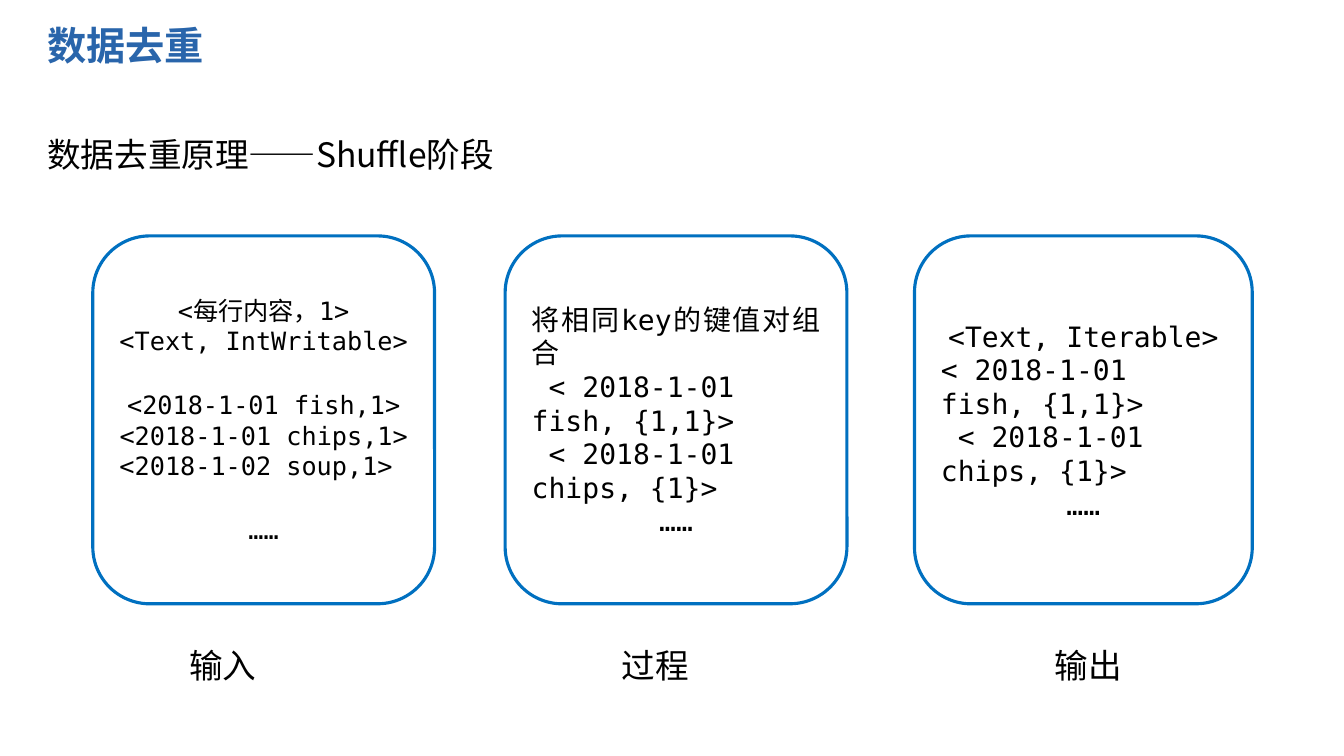
"""Build the slide on the Shuffle stage of data deduplication."""
from dataclasses import dataclass

from lxml import etree
from pptx import Presentation
from pptx import util as u
from pptx.dml.color import RGBColor
from pptx.enum import lang, shapes, text
from pptx.oxml import ns

SANS = "Noto Sans CJK SC"
MONO = "DejaVu Sans Mono"
BLACK = "000000"
BLUE = "0070C0"
TITLE_BLUE = "2965AB"
LEFT = text.PP_ALIGN.LEFT
CENTER = text.PP_ALIGN.CENTER
JUSTIFY = text.PP_ALIGN.JUSTIFY
STAGE_TOP, STAGE_HEIGHT = 2.34, 3.65
LABEL_LEFT, LABEL_STEP = 1.78, 4.29


@dataclass(frozen=True)
class Line:
    words: str
    align: text.PP_ALIGN = LEFT
    gap: float = 0


@dataclass(frozen=True)
class Stage:
    label: str
    left: float
    width: float
    lines: tuple[Line, ...]
    size: float = 20
    side_inset: float = 0.1


STAGES = (
    Stage("输入", 0.92, 3.39, (
        Line("<每行内容，1>", CENTER),
        Line("<Text, IntWritable>", CENTER),
        Line("<2018-1-01 fish,1>", CENTER, 24),
        Line("<2018-1-01 chips,1> ", CENTER),
        Line("<2018-1-02 soup,1> ", CENTER),
        Line("……", CENTER, 24),
    ), 18, 0.03),
    Stage("过程", 5.01, 3.39, (
        Line("将相同key的键值对组合", JUSTIFY),
        Line(" < 2018-1-01 fish, {1,1}>"),
        Line(" < 2018-1-01 chips, {1}>"),
        Line("……", CENTER),
    )),
    Stage("输出", 9.07, 3.35, (
        Line("<Text, Iterable>", CENTER),
        Line("< 2018-1-01 fish, {1,1}>"),
        Line(" < 2018-1-01 chips, {1}>"),
        Line("……", CENTER),
    )),
)


def color(hex_code: str) -> RGBColor:
    return RGBColor.from_string(hex_code)


def write(frame, lines: tuple[Line, ...], size: float, font: str,
          hex_code: str = BLACK, bold: bool = False) -> None:
    for index, line in enumerate(lines):
        paragraph = frame.paragraphs[0] if index == 0 else frame.add_paragraph()
        paragraph.alignment = line.align
        paragraph.space_before = u.Pt(line.gap)
        run = paragraph.add_run()
        run.text = line.words
        run.font.language_id = lang.MSO_LANGUAGE_ID.SIMPLIFIED_CHINESE
        run.font.size = u.Pt(size)
        run.font.bold = bold
        run.font.color.rgb = color(hex_code)
        run.font.name = font
        east_asian = etree.SubElement(run.font._element, ns.qn("a:ea"))
        east_asian.set("typeface", font)


def add_title(slide, words: str) -> None:
    title = slide.shapes.title
    title.left, title.top = u.Inches(0.37), u.Inches(0.21)
    title.width, title.height = u.Inches(5.32), u.Inches(0.58)
    frame = title.text_frame
    frame.vertical_anchor = text.MSO_ANCHOR.TOP
    frame.auto_size = text.MSO_AUTO_SIZE.NONE
    write(frame, (Line(words),), 28, SANS, TITLE_BLUE, True)
    frame.paragraphs[0].line_spacing = 0.9


def add_text(slide, words: str, left: float, top: float, width: float,
             height: float, wrap: bool) -> None:
    box = slide.shapes.add_textbox(
        u.Inches(left), u.Inches(top), u.Inches(width), u.Inches(height))
    box.text_frame.word_wrap = wrap
    write(box.text_frame, (Line(words),), 24, SANS)


def add_stage(slide, stage: Stage) -> None:
    panel = slide.shapes.add_shape(
        shapes.MSO_SHAPE.ROUNDED_RECTANGLE,
        u.Inches(stage.left), u.Inches(STAGE_TOP),
        u.Inches(stage.width), u.Inches(STAGE_HEIGHT))
    panel.shadow.inherit = False
    panel.fill.background()
    panel.line.color.rgb = color(BLUE)
    panel.line.width = u.Pt(2.25)
    frame = panel.text_frame
    frame.word_wrap = True
    frame.vertical_anchor = text.MSO_ANCHOR.MIDDLE
    frame.margin_left = frame.margin_right = u.Inches(stage.side_inset)
    write(frame, stage.lines, stage.size, MONO)


def main() -> None:
    deck = Presentation()
    deck.slide_width, deck.slide_height = u.Inches(13.33), u.Inches(7.5)
    slide = deck.slides.add_slide(deck.slide_layouts[5])
    add_title(slide, "数据去重")
    add_text(slide, "数据去重原理——Shuffle阶段", 0.37, 1.28, 12.28, 2.12, True)
    for index, stage in enumerate(STAGES):
        add_stage(slide, stage)
        add_text(slide, stage.label, LABEL_LEFT + index * LABEL_STEP,
                 6.35, 0.88, 0.5, False)
    deck.save("out.pptx")


if __name__ == "__main__":
    main()
